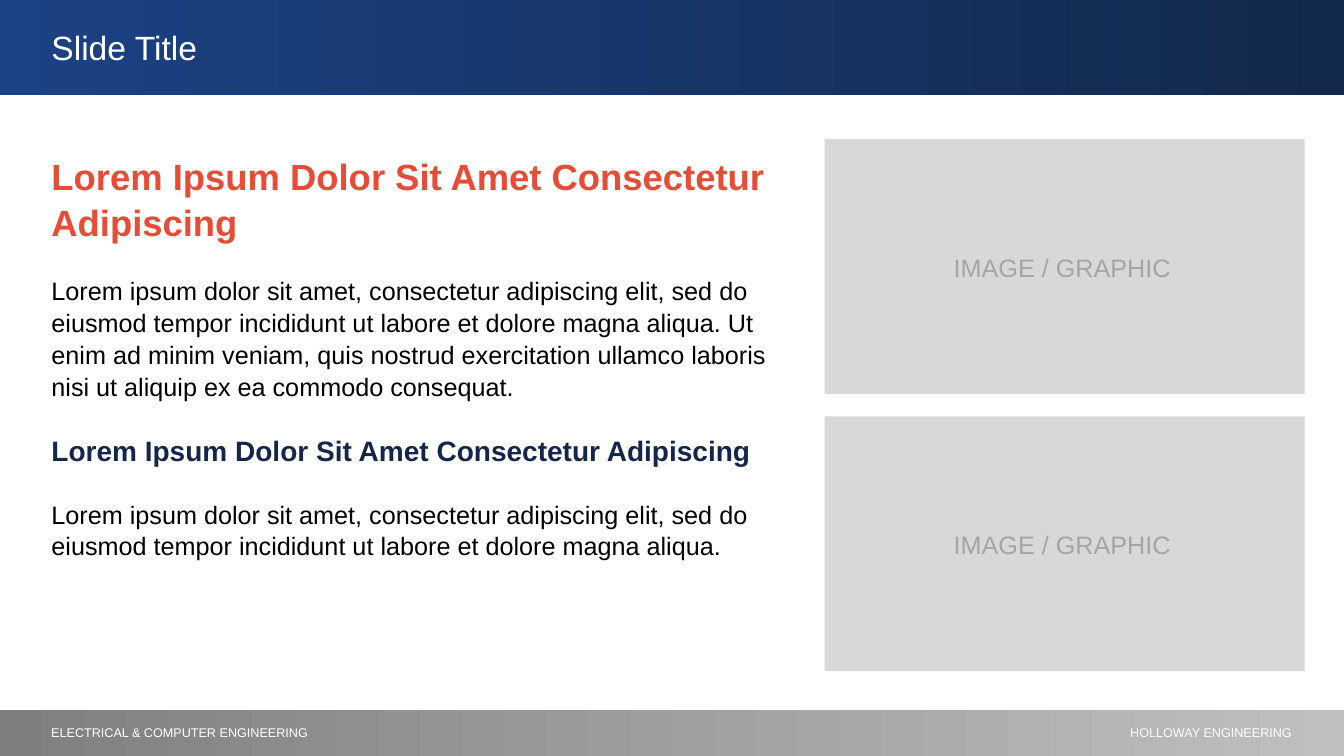
from lxml import etree
from pptx import Presentation
from pptx import util as u
from pptx.dml.color import RGBColor
from pptx.enum import shapes, text
from pptx.oxml import ns

PX = 9144
FONT = "Arial"
WHITE = RGBColor(0xFF, 0xFF, 0xFF)
BLACK = RGBColor(0x00, 0x00, 0x00)
ORANGE = RGBColor(0xE8, 0x4B, 0x36)
NAVY = RGBColor(0x15, 0x26, 0x4B)
HEADER_START = RGBColor(0x1B, 0x42, 0x84)
HEADER_END = RGBColor(0x13, 0x29, 0x4B)
FOOTER_START = RGBColor(0x7F, 0x7F, 0x7F)
FOOTER_END = RGBColor(0xBF, 0xBF, 0xBF)
PANEL = RGBColor(0xD8, 0xD8, 0xD8)
PANEL_LABEL = RGBColor(0xA5, 0xA5, 0xA5)
LEFT, CENTER, RIGHT = text.PP_ALIGN.LEFT, text.PP_ALIGN.CENTER, text.PP_ALIGN.RIGHT

LATIN_HEADING = "Lorem Ipsum Dolor Sit Amet Consectetur Adipiscing"
LATIN_START = (
    "Lorem ipsum dolor sit amet, consectetur adipiscing elit, sed do "
    "eiusmod tempor incididunt ut labore et dolore magna aliqua."
)
LATIN_REST = (
    " Ut enim ad minim veniam, quis nostrud exercitation ullamco laboris "
    "nisi ut aliquip ex ea commodo consequat."
)


class Page:
    """Draws styled elements on one slide, with lengths in px."""

    def __init__(self, deck):
        self.slide = deck.slides.add_slide(deck.slide_layouts[1])

    def rect(self, *box):
        block = self.slide.shapes.add_shape(
            shapes.MSO_SHAPE.RECTANGLE, *(n * PX for n in box))
        block.shadow.inherit = False
        block.line.fill.background()
        return block

    def panel(self, *box):
        fill = self.rect(*box).fill
        fill.solid()
        fill.fore_color.rgb = PANEL

    def band(self, top, height, *colors):
        fill = self.rect(0, top, 1333, height).fill
        fill.gradient()
        fill.gradient_angle = 0
        for stop, color in zip(fill.gradient_stops, colors):
            stop.color.rgb = color

    def add_words(self, paragraph, words, size, color, bold=False, align=LEFT):
        paragraph.alignment = align
        run = paragraph.add_run()
        run.text = words
        run.font.name = FONT
        run.font.size = u.Pt(size)
        run.font.bold = bold
        run.font.color.rgb = color

    def label(self, box, words, size, color, align=LEFT):
        frame = self.slide.shapes.add_textbox(*(n * PX for n in box)).text_frame
        frame.word_wrap = True
        self.add_words(frame.paragraphs[0], words, size, color, align=align)

    def place(self, holder, box, anchor):
        holder.left, holder.top, holder.width, holder.height = (n * PX for n in box)
        self.slide.shapes.element.append(holder.element)
        frame = holder.text_frame
        frame.word_wrap = True
        frame.auto_size = text.MSO_AUTO_SIZE.NONE
        frame.vertical_anchor = anchor
        return frame

    def title(self, box, words):
        frame = self.place(self.slide.shapes.title, box, text.MSO_ANCHOR.MIDDLE)
        self.add_words(frame.paragraphs[0], words, 24, WHITE)

    def body(self, box, passages):
        frame = self.place(self.slide.placeholders[1], box, text.MSO_ANCHOR.TOP)
        for index, passage in enumerate(passages):
            paragraph = frame.add_paragraph() if index else frame.paragraphs[0]
            paragraph.line_spacing = 1.05
            paragraph.space_before = u.Pt(21.7 if index else 0)
            properties = paragraph._p.get_or_add_pPr()
            properties.set("marL", "0")
            properties.set("indent", "0")
            etree.SubElement(properties, ns.qn("a:buNone"))
            self.add_words(paragraph, *passage)


def main():
    deck = Presentation()
    deck.slide_width, deck.slide_height = u.Inches(13.33), u.Inches(7.5)
    page = Page(deck)

    for panel_top in (138, 413):
        page.panel(818, panel_top, 476, 253)
        page.label((929, panel_top + 107, 249, 40), "IMAGE / GRAPHIC", 18, PANEL_LABEL, CENTER)

    page.body((41, 146, 731, 527), [
        (LATIN_HEADING, 26, ORANGE, True),
        (LATIN_START + LATIN_REST, 18, BLACK),
        (LATIN_HEADING, 20, NAVY, True),
        (LATIN_START, 18, BLACK),
    ])

    page.band(704, 46, FOOTER_START, FOOTER_END)
    page.label((1021, 714, 270, 25), "HOLLOWAY ENGINEERING", 9, WHITE, RIGHT)
    page.label((41, 714, 874, 25), "ELECTRICAL & COMPUTER ENGINEERING", 9, WHITE)

    page.band(-1, 95, HEADER_START, HEADER_END)
    page.title((41, 22, 1193, 50), "Slide Title")
    deck.save("out.pptx")


if __name__ == "__main__":
    main()
